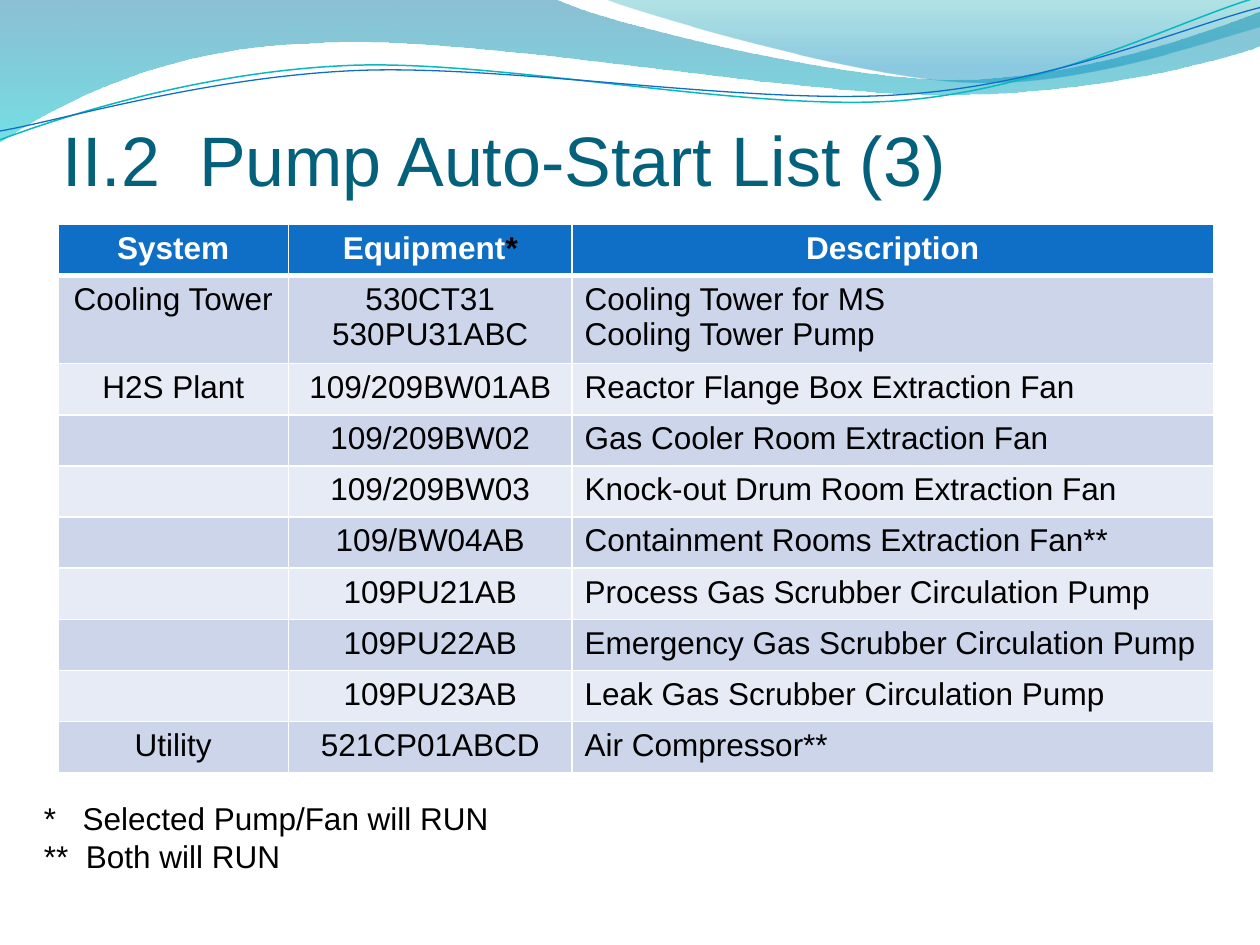
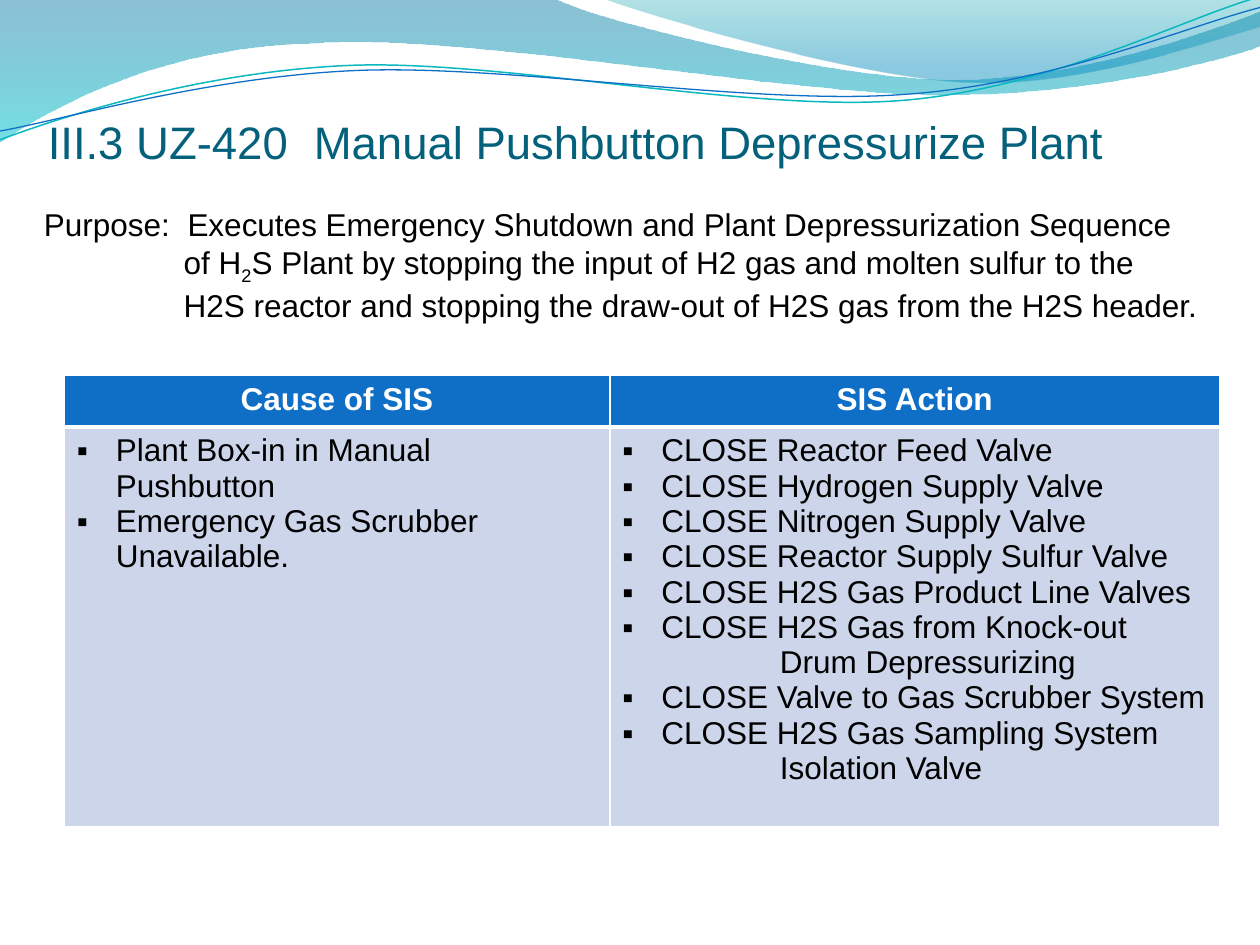
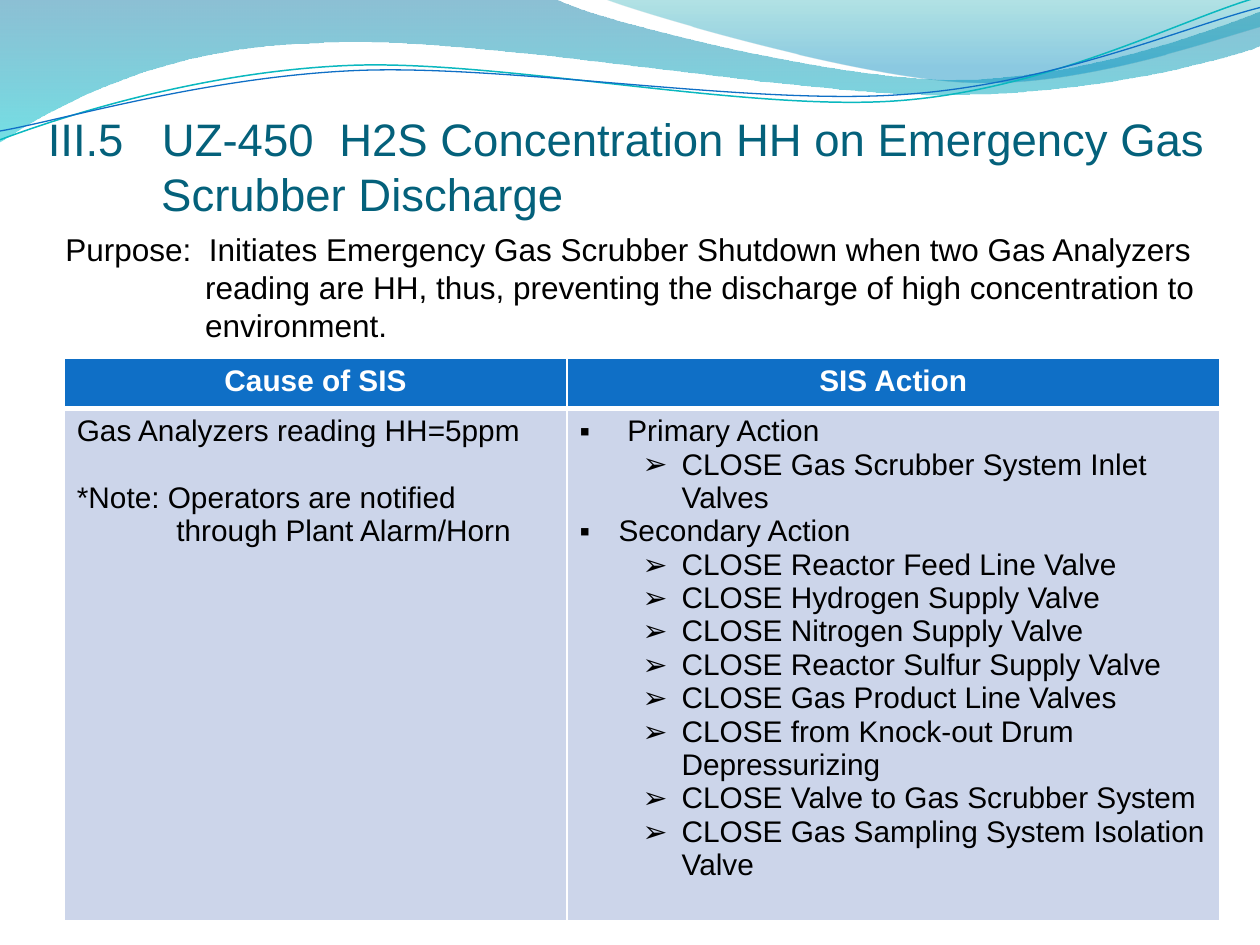
from lxml import etree
from pptx import Presentation
from pptx.dml.color import RGBColor
from pptx.enum.text import MSO_ANCHOR, PP_ALIGN
from pptx.oxml.ns import qn
from pptx.util import Inches, Pt

CENTER, LEFT, BOTTOM = PP_ALIGN.CENTER, PP_ALIGN.LEFT, MSO_ANCHOR.BOTTOM
FONT = "Arial"
COLORS = {
    "title": "04617B", "text": "000000", "white": "FFFFFF",
    "head": "0F6FC6", "odd": "CCD5EA", "even": "E7EBF5",
    "teal": "0AB8BF", "blue": "0F6FC6",
    "deep": "0074A1", "aqua": "00C6CF", "sea": "00A1A9", "sky": "008BBF",
}

# Each path is a start point followed by lines (x, y) and cubic curves (six numbers).
# Each stop is position, colour, opacity in percent.
BANDS = [
    ([(0, 0), (4.4, -0.01), (4.76, 0.17, 6.64, 0.63, 7.58, 0.63),
      (8.53, 0.63, 9.58, 0.26, 10, 0.09), (10.01, 0.36),
      (9.83, 0.44, 8.7, 0.76, 7.46, 0.75), (6.22, 0.75, 3.82, 0.28, 2.57, 0.34),
      (1.29, 0.36, 0.46, 0.83, -0.01, 1.13)],
     [(0, "deep", 45), (1, "aqua", 55)]),
    ([(4.79, -0.01), (5.09, 0.11, 6.82, 0.62, 7.69, 0.65),
      (8.56, 0.69, 9.61, 0.32, 10, 0.21), (10, 0)],
     [(0, "sea", 30), (0.8, "sky", 45)]),
]
WAVES = [
    ([(0, 1.11), (0.48, 0.93, 1.58, 0.57, 2.77, 0.52),
      (3.95, 0.47, 5.93, 0.89, 7.13, 0.8), (8.33, 0.71, 9.38, 0.15, 9.98, -0.02)],
     "teal", 0.85),
    ([(0, 1.04), (0.47, 0.96, 1.64, 0.61, 2.83, 0.56),
      (4.03, 0.51, 5.97, 0.84, 7.17, 0.75), (8.36, 0.67, 9.41, 0.21, 10, 0.06)],
     "blue", 0.75),
]


def rgb(name):
    return RGBColor.from_string(COLORS[name])


def bend(shape, path):
    """Turn the straight parts of a freeform into its cubic curves."""
    lines = list(shape._element.spPr.iter(qn("a:lnTo")))
    for line, part in zip(lines, path[1:]):
        if len(part) == 2:
            continue
        curve = etree.Element(qn("a:cubicBezTo"))
        for x, y in zip(part[::2], part[1::2]):
            point = etree.SubElement(curve, qn("a:pt"))
            point.set("x", str(Inches(x) - shape.left))
            point.set("y", str(Inches(y) - shape.top))
        line.getparent().replace(line, curve)


def write(frame, text, size=18, color="text", bold=False, align=LEFT, left=0,
          first=0, bullet=None, before=0):
    """Add a paragraph; text is a string or a list of (string, changes) runs."""
    para = frame.add_paragraph() if frame.text else frame.paragraphs[0]
    para.alignment = align
    if before:
        para.space_before = Pt(before)
    props = para._p.get_or_add_pPr()
    if left:
        props.set("marL", str(Inches(left)))
        props.set("indent", str(Inches(first)))
    if bullet:
        etree.SubElement(props, qn("a:buFont")).set("typeface", FONT)
        etree.SubElement(props, qn("a:buChar")).set("char", bullet)
    for part, change in [(text, {})] if isinstance(text, str) else text:
        run = para.add_run()
        run.text = part
        font = run.font
        font.name, font.size, font.bold = FONT, Pt(size), bold
        font.color.rgb = rgb(change.get("color", color))
        props = run._r.get_or_add_rPr()
        if "base" in change:
            props.set("baseline", str(change["base"] * 1000))
        if "gap" in change:
            props.set("spc", str(round(change["gap"] * size * 100)))


def spread(lead, *rest):
    """Join words by a widened space; rest holds (extra width in em, words) pairs."""
    runs = [(lead, {})]
    for gap, words in rest:
        runs += [(" ", {"gap": gap}), (words, {})]
    return runs


def edge(cell, top, bottom):
    """Draw white borders; top and bottom are widths in points."""
    props = cell._tc.get_or_add_tcPr()
    sides = [("a:lnL", 1), ("a:lnR", 1), ("a:lnT", top), ("a:lnB", bottom)]
    for i, (tag, width) in enumerate(sides):
        side = etree.Element(qn(tag))
        side.set("w", str(Pt(width)))
        fill = etree.SubElement(side, qn("a:solidFill"))
        etree.SubElement(fill, qn("a:srgbClr")).set("val", COLORS["white"])
        props.insert(i, side)


class Deck:
    def __init__(self):
        self.show = Presentation()
        self.show.slide_width, self.show.slide_height = Inches(10), Inches(7.5)
        self.slide = None

    def page(self):
        self.slide = self.show.slides.add_slide(self.show.slide_layouts[6])
        for path, stops in BANDS:
            self.band(path, stops)
        for path, color, width in WAVES:
            self.wave(path, color, width)

    def curve(self, path, close):
        ends = [(Inches(part[-2]), Inches(part[-1])) for part in path]
        form = self.slide.shapes.build_freeform(*ends[0])
        form.add_line_segments(ends[1:], close=close)
        shape = form.convert_to_shape()
        shape.shadow.inherit = False
        bend(shape, path)
        return shape

    def band(self, path, stops):
        shape = self.curve(path, True)
        shape.line.fill.background()
        shape.fill.gradient()
        shape.fill.gradient_angle = 270
        for stop, (place, color, _) in zip(shape.fill.gradient_stops, stops):
            stop.position = place
            stop.color.rgb = rgb(color)
        tones = list(shape._element.spPr.iter(qn("a:srgbClr")))
        for tone, (_, _, alpha) in zip(tones, stops):
            etree.SubElement(tone, qn("a:alpha")).set("val", str(alpha * 1000))

    def wave(self, path, color, width):
        shape = self.curve(path, False)
        shape.fill.background()
        shape.line.color.rgb = rgb(color)
        shape.line.width = Pt(width)

    def text(self, box, paras, **style):
        """Place a text box; paras holds (text, changes) pairs."""
        frame = self.slide.shapes.add_textbox(*map(Inches, box)).text_frame
        frame.word_wrap = True
        for text, change in paras:
            write(frame, text, **style, **change)
        return frame

    def title(self, box, paras, size):
        frame = self.text(box, paras, size=size, color="title")
        frame.vertical_anchor = BOTTOM
        frame.margin_left = frame.margin_right = frame.margin_bottom = 0

    def table(self, left, top, cols, rows, heads, body, size=18):
        """Place a table; each body cell is a list of (text, changes) pairs."""
        frame = self.slide.shapes.add_table(
            len(rows), len(cols), Inches(left), Inches(top),
            Inches(sum(cols)), Inches(sum(rows)))
        grid = frame.table
        grid.horz_banding = False
        for col, width in zip(grid.columns, cols):
            col.width = Inches(width)
        for row, height in zip(grid.rows, rows):
            row.height = Inches(height)
        top_row = [[(head, {"color": "white", "bold": True, "align": CENTER})]
                   for head in heads]
        for r, line in enumerate([top_row] + body):
            for c, paras in enumerate(line):
                cell = grid.cell(r, c)
                cell.fill.solid()
                cell.fill.fore_color.rgb = rgb("head" if r == 0 else "odd" if r % 2 else "even")
                edge(cell, 3 if r == 1 else 1, 3 if r == 0 else 1)
                for text, change in paras:
                    write(cell.text_frame, text, size=size, **change)


def plain(*lines, **change):
    return [(line, change) for line in lines]


def items(*lines):
    return plain(*lines, bullet="▪", left=0.31, first=-0.31)


def steps(*lines):
    return plain(*lines, bullet="➢", left=0.81, first=-0.31)


def purpose(lead, *rest):
    """Lay out a labelled statement whose later lines are indented."""
    return plain(spread("Purpose:", (0.28, lead))) + plain(*rest, left=1.11)


SIS = ["Cause of SIS", "SIS Action"]
PUMPS = [
    ("Cooling Tower", ["530CT31", "530PU31ABC"], ["Cooling Tower for MS", "Cooling Tower Pump"]),
    ("H2S Plant", ["109/209BW01AB"], ["Reactor Flange Box Extraction Fan"]),
    ("", ["109/209BW02"], ["Gas Cooler Room Extraction Fan"]),
    ("", ["109/209BW03"], ["Knock-out Drum Room Extraction Fan"]),
    ("", ["109/BW04AB"], ["Containment Rooms Extraction Fan**"]),
    ("", ["109PU21AB"], ["Process Gas Scrubber Circulation Pump"]),
    ("", ["109PU22AB"], ["Emergency Gas Scrubber Circulation Pump"]),
    ("", ["109PU23AB"], ["Leak Gas Scrubber Circulation Pump"]),
    ("Utility", ["521CP01ABCD"], ["Air Compressor**"]),
]


def pumps(deck):
    deck.page()
    deck.title((0.5, 0.82, 9, 0.77),
               plain(spread("II.2", (0.28, "Pump Auto-Start List (3)"))), 40)
    heads = ["System", [("Equipment", {}), ("*", {"color": "text"})], "Description"]
    body = [[plain(plant, align=CENTER) if plant else [], plain(*units, align=CENTER),
             plain(*notes)] for plant, units, notes in PUMPS]
    count = len(PUMPS) + 1
    deck.table(0.46, 1.78, [1.83, 2.25, 5.09], [4.06 / count] * count, heads, body)
    deck.text((0.25, 6.29, 9.25, 0.71),
              plain(spread("*", (0.56, "Selected Pump/Fan will RUN")),
                    spread("**", (0.28, "Both will RUN"))))


def button(deck):
    deck.page()
    deck.title((0.38, 0.51, 9.33, 0.83),
               plain(spread("III.3 UZ-420", (0.28, "Manual Pushbutton Depressurize Plant"))), 26)
    causes = items("Plant Box-in in Manual Pushbutton", "Emergency Gas Scrubber Unavailable.")
    acts = (items("CLOSE Reactor Feed Valve", "CLOSE Hydrogen Supply Valve",
                  "CLOSE Nitrogen Supply Valve", "CLOSE Reactor Supply Sulfur Valve",
                  "CLOSE H2S Gas Product Line Valves", "CLOSE H2S Gas from Knock-out")
            + plain("Drum Depressurizing", left=1.25)
            + items("CLOSE Valve to Gas Scrubber System", "CLOSE H2S Gas Sampling System")
            + plain("Isolation Valve", left=1.25))
    deck.table(0.51, 2.98, [4.33, 4.84], [0.41, 3.17], SIS, [[causes, acts]])
    deck.text((0.25, 1.58, 9.5, 1.31), purpose(
        "Executes Emergency Shutdown and Plant Depressurization Sequence",
        [("of H", {}), ("2", {"base": -25}),
         ("S Plant by stopping the input of H2 gas and molten sulfur to the", {})],
        "H2S reactor and stopping the draw-out of H2S gas from the H2S header."))


def scrubber(deck):
    deck.page()
    deck.title((0.38, 0.92, 9.33, 0.83),
               plain(spread("III.5", (0.56, "UZ-450"),
                            (0.28, "H2S Concentration HH on Emergency Gas")))
               + plain("Scrubber Discharge", left=0.9), 26)
    deck.text((0.42, 1.78, 9.33, 1.01), purpose(
        "Initiates Emergency Gas Scrubber Shutdown when two Gas Analyzers",
        "reading are HH, thus, preventing the discharge of high concentration to",
        "environment."))
    causes = (plain("Gas Analyzers reading HH=5ppm")
              + plain("*Note: Operators are notified", before=19)
              + plain("through Plant Alarm/Horn", left=0.79))
    acts = (plain("Primary Action", bullet="▪", left=0.38, first=-0.38)
            + steps("CLOSE Gas Scrubber System Inlet Valves")
            + items("Secondary Action")
            + steps("CLOSE Reactor Feed Line Valve", "CLOSE Hydrogen Supply Valve",
                    "CLOSE Nitrogen Supply Valve", "CLOSE Reactor Sulfur Supply Valve",
                    "CLOSE Gas Product Line Valves",
                    "CLOSE from Knock-out Drum Depressurizing",
                    "CLOSE Valve to Gas Scrubber System",
                    "CLOSE Gas Sampling System Isolation Valve"))
    deck.table(0.51, 2.84, [3.99, 5.18], [0.4, 4.05], SIS, [[causes, acts]], size=17)


def main():
    deck = Deck()
    pumps(deck)
    button(deck)
    scrubber(deck)
    deck.show.save("out.pptx")


if __name__ == "__main__":
    main()
